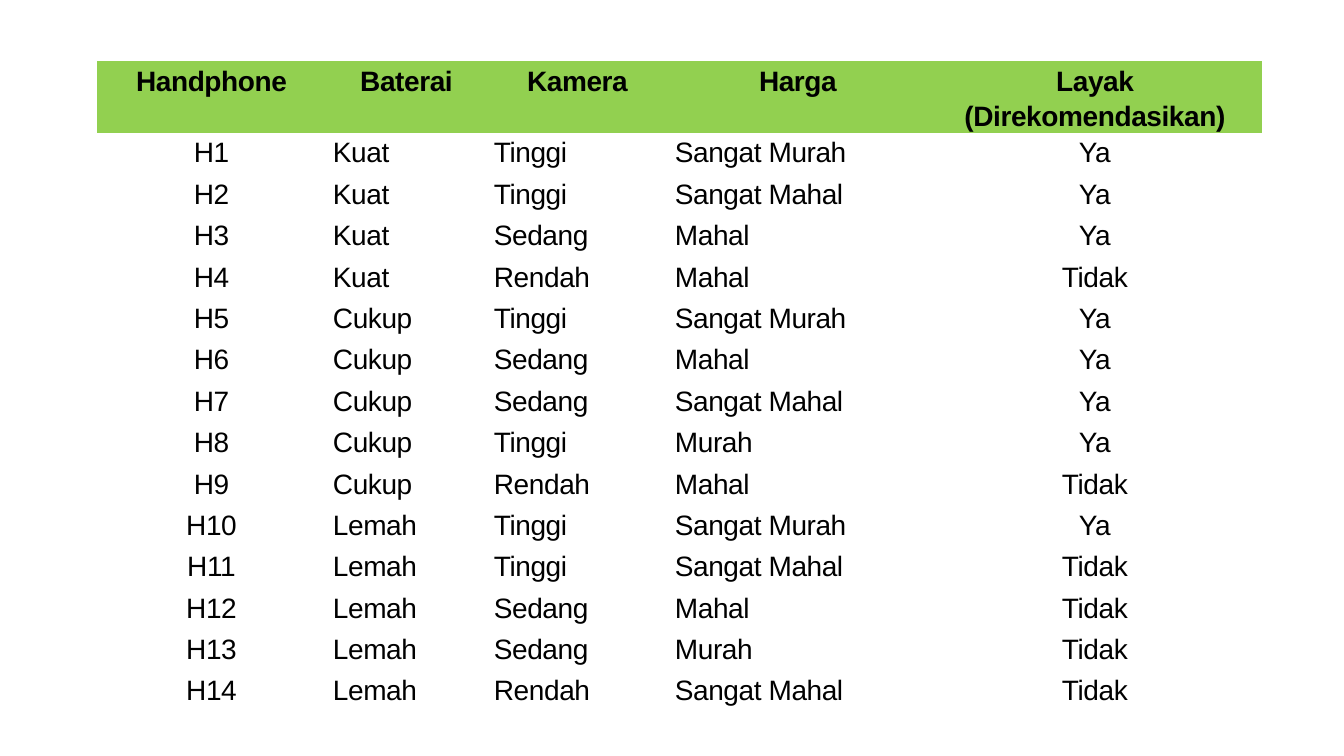
from pptx import Presentation
from pptx.dml.color import RGBColor as RGB
from pptx.enum.text import PP_ALIGN as Align
from pptx.util import Emu, Pt

HEAD = ("Handphone", "Baterai", "Kamera", "Harga", "Layak (Direkomendasikan)")
PHONES = [
    ("Kuat", "Tinggi", "Sangat Murah", "Ya"),
    ("Kuat", "Tinggi", "Sangat Mahal", "Ya"),
    ("Kuat", "Sedang", "Mahal", "Ya"),
    ("Kuat", "Rendah", "Mahal", "Tidak"),
    ("Cukup", "Tinggi", "Sangat Murah", "Ya"),
    ("Cukup", "Sedang", "Mahal", "Ya"),
    ("Cukup", "Sedang", "Sangat Mahal", "Ya"),
    ("Cukup", "Tinggi", "Murah", "Ya"),
    ("Cukup", "Rendah", "Mahal", "Tidak"),
    ("Lemah", "Tinggi", "Sangat Murah", "Ya"),
    ("Lemah", "Tinggi", "Sangat Mahal", "Tidak"),
    ("Lemah", "Sedang", "Mahal", "Tidak"),
    ("Lemah", "Sedang", "Murah", "Tidak"),
    ("Lemah", "Rendah", "Sangat Mahal", "Tidak"),
]
THEME = {
    "font": "Arial",
    "size": Pt(20),
    "ink": RGB.from_string("000000"),
    "head": RGB.from_string("92D050"),
    "track": "-30",
    "style": "{2D5ABB26-0587-4C30-8999-92F81FD0307C}",  # no style, no grid
}
WIDTHS = (229, 161, 181, 260, 334)
LEFT, TOP, HEIGHT = 97, 61, 621
CENTRED = (0, len(HEAD) - 1)


def px(n):
    return Emu(round(n * 914400 / 100.8))


CELL = {"margin_left": px(7), "margin_right": px(7),
        "margin_top": 0, "margin_bottom": 0}


def write(cell, text, head, align):
    for name, value in CELL.items():
        setattr(cell, name, value)
    if head:
        cell.fill.solid()
        cell.fill.fore_color.rgb = THEME["head"]
    else:
        cell.fill.background()
    para = cell.text_frame.paragraphs[0]
    para.alignment, para.line_spacing = align, 1.15
    run = para.add_run()
    run.text = text
    font = run.font
    font.name, font.size, font.bold = THEME["font"], THEME["size"], head
    font.color.rgb = THEME["ink"]
    run._r.get_or_add_rPr().set("spc", THEME["track"])


def main():
    deck = Presentation()
    deck.slide_width, deck.slide_height = px(1344), px(756)
    slide = deck.slides.add_slide(deck.slide_layouts[6])
    rows = [HEAD] + [(f"H{n}", *facts) for n, facts in enumerate(PHONES, 1)]
    table = slide.shapes.add_table(len(rows), len(HEAD), px(LEFT), px(TOP),
                                   px(sum(WIDTHS)), px(HEIGHT)).table
    table.first_row = table.horz_banding = False
    table._tbl.tblPr[0].text = THEME["style"]
    for col, width in zip(table.columns, WIDTHS):
        col.width = px(width)
    for r, row in enumerate(rows):
        table.rows[r].height = px(HEIGHT / len(rows))
        for c, text in enumerate(row):
            head = r == 0
            align = Align.CENTER if head or c in CENTRED else Align.JUSTIFY
            write(table.cell(r, c), text, head, align)
    deck.save("out.pptx")


if __name__ == "__main__":
    main()
